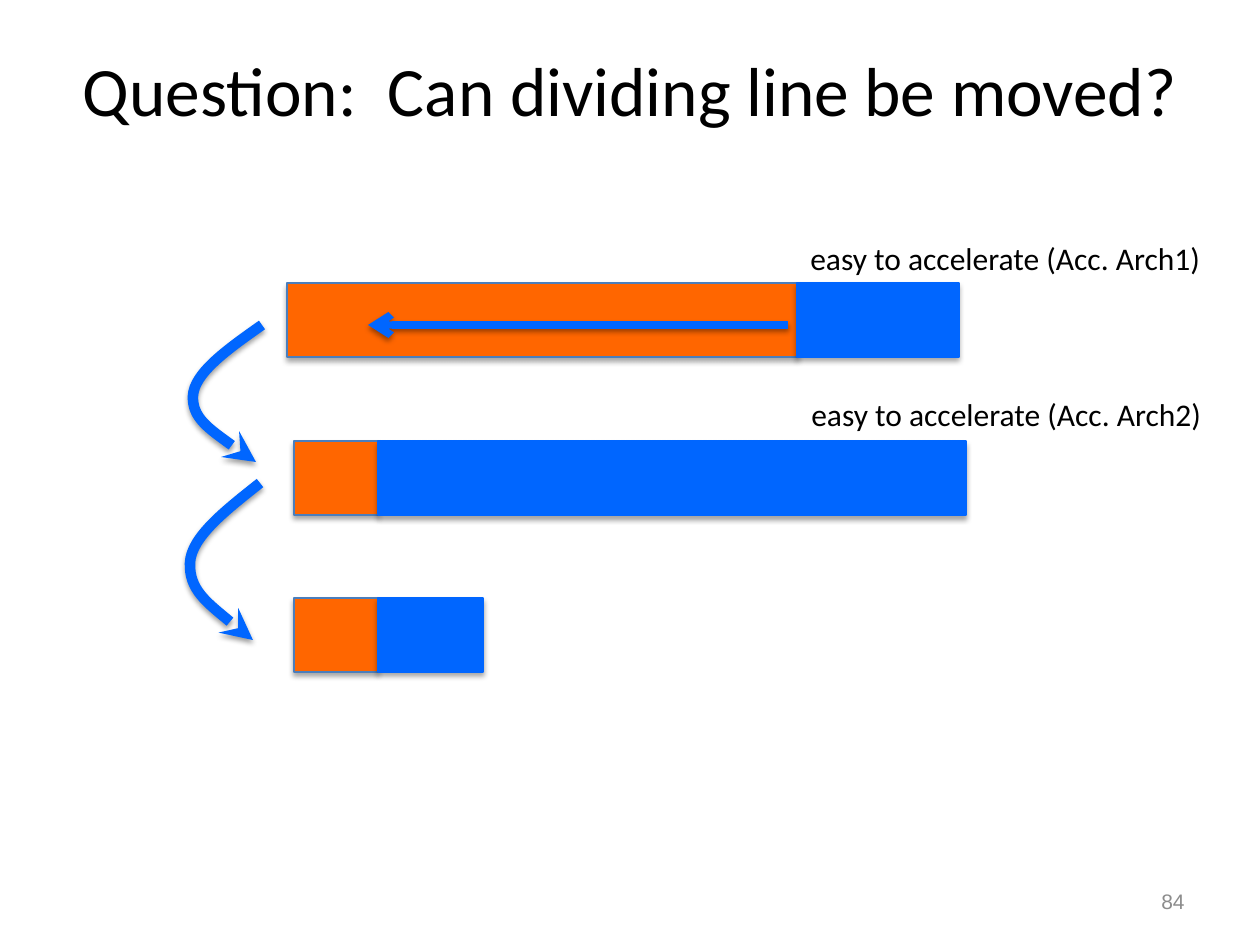
from typing import NamedTuple

from pptx import Presentation
from pptx.dml.color import RGBColor
from pptx.enum.shapes import MSO_CONNECTOR, MSO_SHAPE
from pptx.enum.text import MSO_ANCHOR, PP_ALIGN
from pptx.oxml.ns import qn
from pptx.oxml.xmlchemy import OxmlElement
from pptx.util import Pt

RECTANGLE = MSO_SHAPE.RECTANGLE
STRAIGHT = MSO_CONNECTOR.STRAIGHT
LEFT, CENTER, RIGHT = PP_ALIGN.LEFT, PP_ALIGN.CENTER, PP_ALIGN.RIGHT
TOP, MIDDLE = MSO_ANCHOR.TOP, MSO_ANCHOR.MIDDLE

SCALE = 914400 / 126  # EMU per px
BAR_HEIGHT = 74
COLORS = {
    "text": "000000",
    "number": "8C8C8C",
    "hard": "FF6600",
    "hard_line": "4B7EBC",
    "easy": "0066FF",
}


class Bar(NamedTuple):
    left: int
    top: int
    hard_width: int
    easy_width: int


class Label(NamedTuple):
    text: str
    left: int
    top: int
    height: int


BARS = [
    Bar(287, 283, 510, 162),
    Bar(294, 441, 84, 588),
    Bar(294, 598, 84, 105),
]
LABELS = [
    Label("easy to accelerate (Acc. Arch1)", 798, 233, 50),
    Label("easy to accelerate (Acc. Arch2)", 799, 389, 89),
]
# Start point, then three Bezier points for each of two segments
CURVES = [
    [(262, 325), (228, 349), (194, 373), (193, 396), (192, 418), (223, 440), (256, 462)],
    [(260, 483), (226, 510), (191, 537), (190, 563), (189, 590), (221, 615), (253, 640)],
]


def px(value: int) -> int:
    return round(value * SCALE)


def color(name: str) -> RGBColor:
    return RGBColor.from_string(COLORS[name])


def place(shape, left: int, top: int, width: int, height: int) -> None:
    shape.left, shape.top = px(left), px(top)
    shape.width, shape.height = px(width), px(height)


def write(shape, text: str, *, size: float, font: str = "Calibri", fill: str = "text",
          align=LEFT, anchor=TOP, wrap: bool = True) -> None:
    frame = shape.text_frame
    frame.word_wrap = wrap
    frame.vertical_anchor = anchor
    paragraph = frame.paragraphs[0]
    paragraph.text = text
    paragraph.alignment = align
    paragraph.font.size = Pt(size)
    paragraph.font.name = font
    paragraph.font.color.rgb = color(fill)


def add_shadow(shape, opacity: int, distance: float) -> None:
    properties = shape._element.spPr
    for existing in properties.findall(qn("a:effectLst")):
        properties.remove(existing)
    effects = OxmlElement("a:effectLst")
    shadow = OxmlElement("a:outerShdw")
    for key, value in (("blurRad", Pt(3.1)), ("dist", Pt(distance)),
                       ("dir", 90 * 60000), ("rotWithShape", 0)):
        shadow.set(key, str(value))
    shade = OxmlElement("a:srgbClr")
    shade.set("val", "000000")
    alpha = OxmlElement("a:alpha")
    alpha.set("val", str(opacity * 1000))
    shade.append(alpha)
    shadow.append(shade)
    effects.append(shadow)
    properties.append(effects)


def style_arrow(shape, width: float, head: str) -> None:
    shape.line.color.rgb = color("easy")
    shape.line.width = Pt(width)
    tail = OxmlElement("a:tailEnd")
    tail.set("type", head)
    shape.line._get_or_add_ln().append(tail)
    add_shadow(shape, 38, 1.6)


def add_block(slide, left: int, top: int, width: int, fill: str, line: str) -> None:
    block = slide.shapes.add_shape(RECTANGLE, px(left), px(top), px(width), px(BAR_HEIGHT))
    block.fill.solid()
    block.fill.fore_color.rgb = color(fill)
    block.line.color.rgb = color(line)
    block.line.width = Pt(0.75)
    add_shadow(block, 35, 1.8)


def add_bar(slide, bar: Bar) -> None:
    add_block(slide, bar.left, bar.top, bar.hard_width, "hard", "hard_line")
    add_block(slide, bar.left + bar.hard_width, bar.top, bar.easy_width, "easy", "easy")


def add_curve(slide, points: list[tuple[int, int]]) -> None:
    builder = slide.shapes.build_freeform(*points[0], scale=SCALE)
    builder.add_line_segments(points[1:], close=False)
    curve = builder.convert_to_shape()
    curve.fill.background()
    # Turn each three straight segments into one Bezier segment
    outline = next(curve._element.iter(qn("a:path")))
    segments = outline.findall(qn("a:lnTo"))
    for start in range(0, len(segments), 3):
        bezier = OxmlElement("a:cubicBezTo")
        for segment in segments[start:start + 3]:
            bezier.append(segment[0])
            outline.remove(segment)
        outline.append(bezier)
    style_arrow(curve, 6, "stealth")


def main() -> None:
    presentation = Presentation()
    presentation.slide_width, presentation.slide_height = px(1260), px(945)
    slide = presentation.slides.add_slide(presentation.slide_layouts[5])

    # Title and slide number
    title = slide.shapes.title
    place(title, 63, 10, 1134, 158)
    write(title, "Question:  Can dividing line be moved?", size=39.6, align=CENTER, anchor=MIDDLE)
    number = slide.shapes.add_textbox(px(903), px(876), px(294), px(50))
    write(number, "84", size=12, font="Arial", fill="number", align=RIGHT, anchor=MIDDLE)

    # Bars and their labels
    for bar in BARS:
        add_bar(slide, bar)
    for label in LABELS:
        box = slide.shapes.add_textbox(px(label.left), px(label.top), px(466), px(label.height))
        write(box, label.text, size=18, wrap=False)

    # Arrows from bar to bar, and the moving dividing line
    for points in CURVES:
        add_curve(slide, points)
    arrow = slide.shapes.add_connector(STRAIGHT, px(788), px(325), px(368), px(325))
    style_arrow(arrow, 4.25, "arrow")

    presentation.save("out.pptx")


if __name__ == "__main__":
    main()
